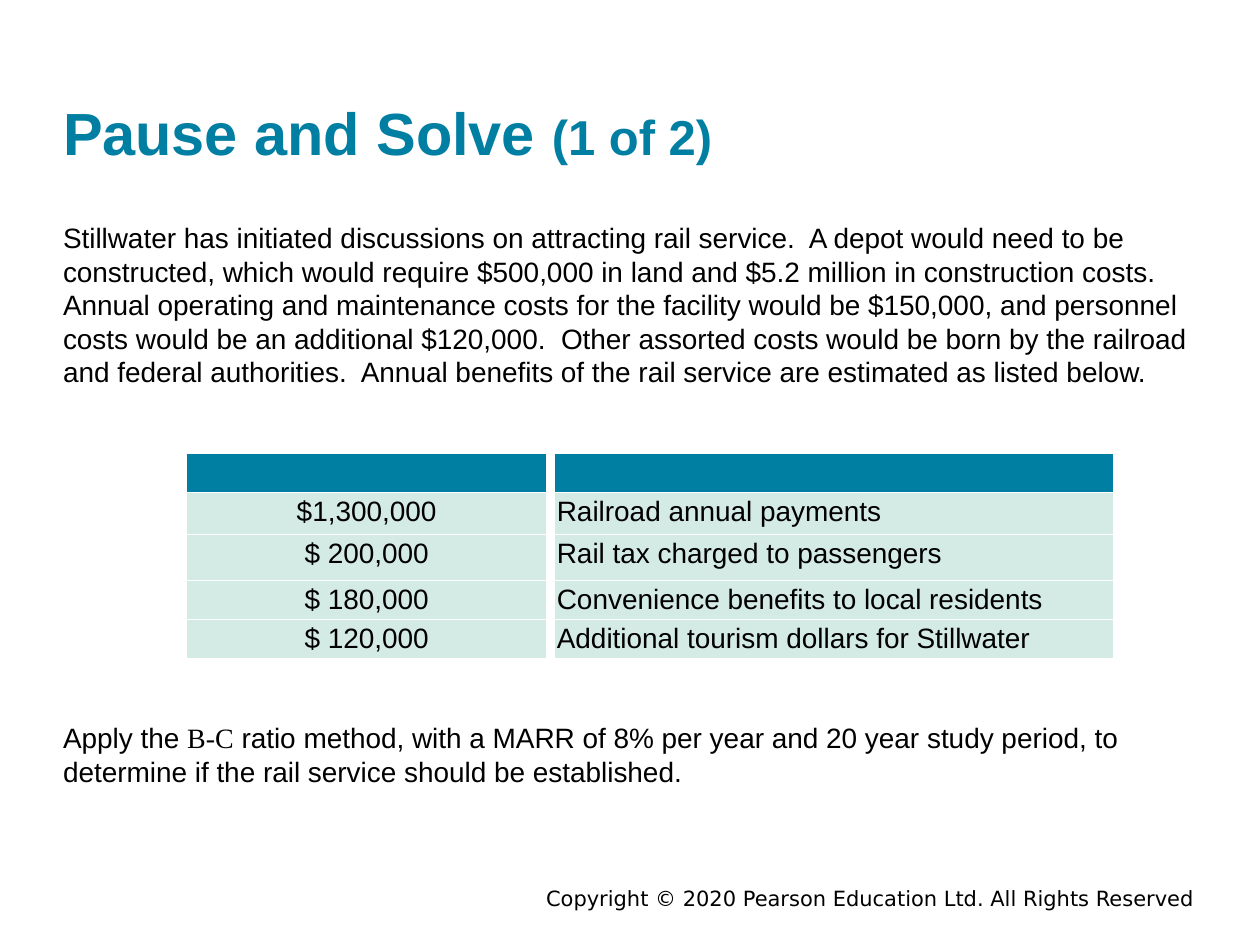
from typing import NamedTuple

from lxml import etree
from pptx import Presentation
from pptx.dml.color import RGBColor
from pptx.enum.text import MSO_ANCHOR, MSO_AUTO_SIZE, PP_ALIGN
from pptx.oxml.ns import qn
from pptx.util import Inches, Pt

LEFT, CENTER, RIGHT = PP_ALIGN.LEFT, PP_ALIGN.CENTER, PP_ALIGN.RIGHT
TOP, BOTTOM = MSO_ANCHOR.TOP, MSO_ANCHOR.BOTTOM
NO_AUTOFIT = MSO_AUTO_SIZE.NONE
TWO_CONTENT = 3

COLORS = {"teal": "007FA3", "mint": "D4EAE4", "white": "FFFFFF", "black": "000000"}


class Run(NamedTuple):
    text: str
    size: float = 16
    font: str = "Arial"
    color: str = "black"
    bold: bool = False


class Box(NamedTuple):
    left: float
    top: float
    width: float
    height: float


class Benefit(NamedTuple):
    amount: str
    source: str
    height: float


BENEFITS = [
    Benefit("$1,300,000", "Railroad annual payments", 0.33),
    Benefit("$ 200,000", "Rail tax charged to passengers", 0.37),
    Benefit("$ 180,000", "Convenience benefits to local residents", 0.31),
    Benefit("$ 120,000", "Additional tourism dollars for Stillwater", 0.31),
]
HEADER_HEIGHT = 0.31
COLUMN_WIDTHS = (2.92, 4.5)


def write(tf, *runs: Run, align=LEFT, bullet_off: bool = False) -> None:
    """Fill the first paragraph of a text frame with formatted runs."""
    p = tf.paragraphs[0]
    if bullet_off:
        pPr = p._p.get_or_add_pPr()
        pPr.set("marL", "0")
        pPr.set("indent", "0")
        etree.SubElement(pPr, qn("a:buNone"))
    p.alignment = align
    p.space_before = Pt(0)
    for run in runs:
        r = p.add_run()
        r.text = run.text
        r.font.size = Pt(run.size)
        r.font.name = run.font
        r.font.bold = run.bold
        r.font.color.rgb = RGBColor.from_string(COLORS[run.color])


def set_frame(sp, box: Box, anchor=TOP) -> None:
    """Place a text shape and remove its insets."""
    sp.left, sp.top, sp.width, sp.height = map(Inches, box)
    tf = sp.text_frame
    tf.word_wrap = True
    tf.auto_size = NO_AUTOFIT
    tf.vertical_anchor = anchor
    tf.margin_left = tf.margin_right = tf.margin_top = tf.margin_bottom = 0


def style_cell(cell, fill: str, margin_x: float, margin_y: float) -> None:
    """Give a cell white borders, a fill and margins."""
    tcPr = cell._tc.get_or_add_tcPr()
    for side, width in (("L", 6), ("R", 6), ("T", 0.75), ("B", 0.75)):
        ln = etree.SubElement(tcPr, qn(f"a:ln{side}"), w=str(Pt(width)))
        solid = etree.SubElement(ln, qn("a:solidFill"))
        etree.SubElement(solid, qn("a:srgbClr"), val=COLORS["white"])
    cell.fill.solid()
    cell.fill.fore_color.rgb = RGBColor.from_string(COLORS[fill])
    cell.margin_left = cell.margin_right = Inches(margin_x)
    cell.margin_top = cell.margin_bottom = Inches(margin_y)


def add_benefits_table(s, left: float, top: float) -> None:
    heights = [HEADER_HEIGHT] + [b.height for b in BENEFITS]
    frame = s.shapes.add_table(
        len(heights), len(COLUMN_WIDTHS), Inches(left), Inches(top),
        Inches(sum(COLUMN_WIDTHS)), Inches(sum(heights)))
    table = frame.table
    for column, width in zip(table.columns, COLUMN_WIDTHS):
        column.width = Inches(width)
    for row, height in zip(table.rows, heights):
        row.height = Inches(height)
    for cell in table.rows[0].cells:
        style_cell(cell, "teal", 0.05, 0)
    for i, benefit in enumerate(BENEFITS, start=1):
        for j, (text, align) in enumerate(((benefit.amount, CENTER), (benefit.source, LEFT))):
            cell = table.cell(i, j)
            style_cell(cell, "mint", 0.05, 0.03)
            write(cell.text_frame, Run(text), align=align)


def main() -> None:
    prs = Presentation()
    prs.slide_width, prs.slide_height = Inches(10), Inches(7.5)
    s = prs.slides.add_slide(prs.slide_layouts[TWO_CONTENT])
    title, problem, task = s.placeholders

    # Title
    set_frame(title, Box(0.5, 0.76, 9, 0.57), anchor=BOTTOM)
    write(title.text_frame,
          Run("Pause and Solve ", size=34, color="teal", bold=True),
          Run("(1 of 2)", size=28, color="teal", bold=True))

    # Problem statement
    set_frame(problem, Box(0.5, 1.75, 9, 1.45))
    write(problem.text_frame, Run(
        "Stillwater has initiated discussions on attracting rail service.  "
        "A depot would need to be constructed, which would require $500,000 in land "
        "and $5.2 million in construction costs.  Annual operating and maintenance "
        "costs for the facility would be $150,000, and personnel costs would be an "
        "additional $120,000.  Other assorted costs would be born by the railroad and "
        "federal authorities.  Annual benefits of the rail service are estimated as "
        "listed below."), bullet_off=True)

    # Annual benefits
    add_benefits_table(s, 1.45, 3.6)

    # Task
    set_frame(task, Box(0.5, 5.72, 9, 0.57))
    write(task.text_frame,
          Run("Apply the "),
          Run("B-C", font="Times New Roman"),
          Run(" ratio method, with a MARR of 8% per year and 20 year study period, "
              "to determine if the rail service should be established."),
          bullet_off=True)

    # Copyright line
    footer = s.shapes.add_textbox(0, 0, 0, 0)
    set_frame(footer, Box(2.84, 7.03, 6.64, 0.3))
    write(footer.text_frame,
          Run("Copyright © 2020 Pearson Education Ltd. All Rights Reserved",
              size=12, font="DejaVu Sans"), align=RIGHT)

    prs.save("out.pptx")


if __name__ == "__main__":
    main()
